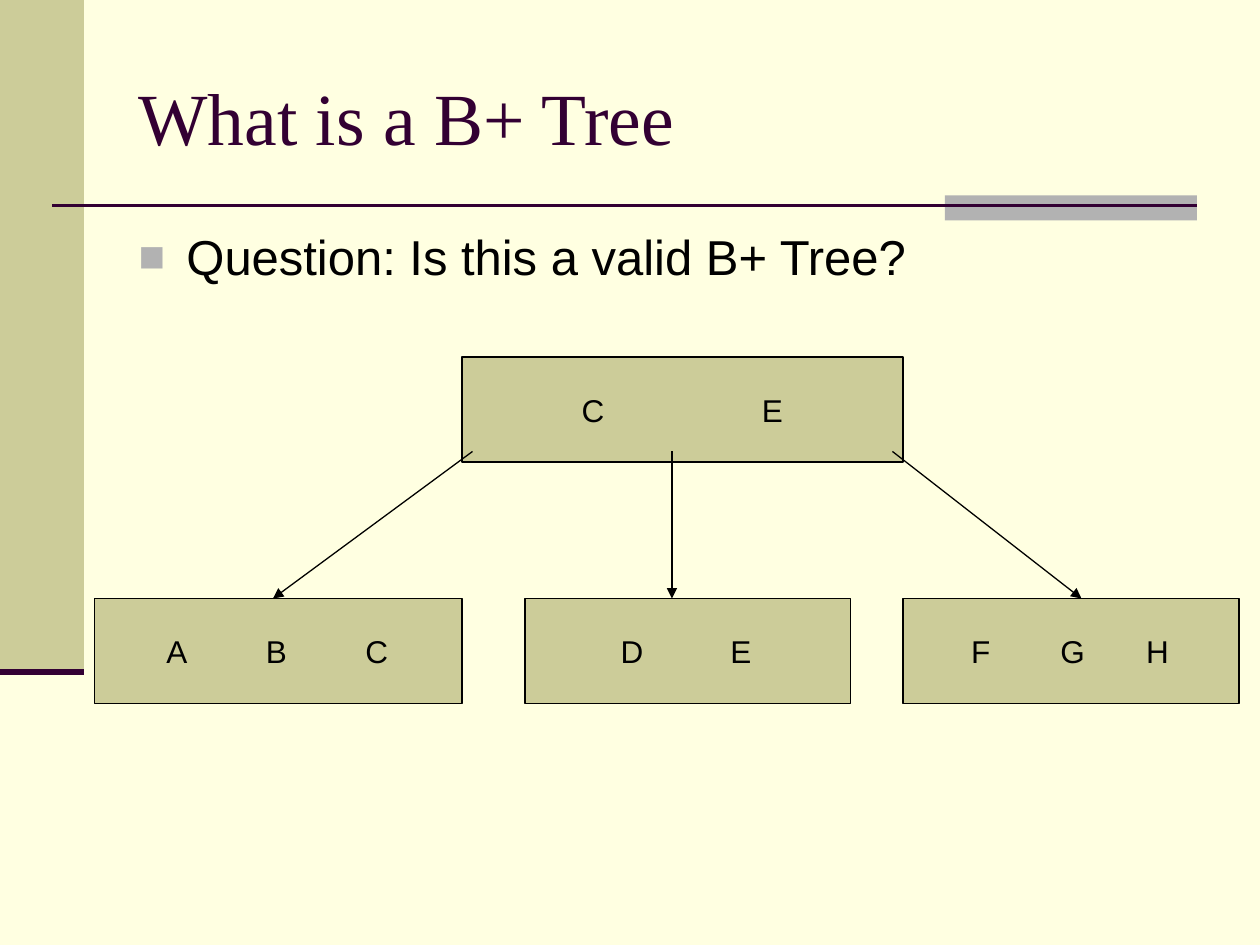
from pptx import Presentation
from pptx import util as u
from pptx.dml.color import RGBColor
from pptx.enum import shapes, text
from pptx.oxml import parse_xml
from pptx.oxml.ns import nsdecls, qn

# Content
TITLE = "What is a B+ Tree"
QUESTION = "Question: Is this a valid B+ Tree?"
# Nodes: left, top, width in grid cells; each key with its inset in inches
NODES = [
    (44, 34, 42, [("C", 0.95), ("E", 2.38)]),
    (9, 57, 35, [("A", 0.57), ("B", 1.36), ("C", 2.15)]),
    (50, 57, 31, [("D", 0.76), ("E", 1.63)]),
    (86, 57, 32, [("F", 0.54), ("G", 1.25), ("H", 1.93)]),
]
NODE_HEIGHT = 10
POINTERS = [(64, 64), (85, 103), (45, 26)]  # x in the root, x on a leaf
POINTER_TOP, LEAF_TOP = 43, 57

# Decoration: left, top, width, height, colour / from, to, colour, weight
BANDS = [(0, 0, 8, 64, "CCCC99"), (90, 18.6, 24, 2.4, "B2B2B2")]
RULES = [((5, 19.6), (114, 19.6), "330033", 1.5),
         ((0, 64), (8, 64), "330033", 3.5)]

# Formats
HEADING = {"size": u.Pt(42), "name": "Times New Roman", "bold": False}
BODY = {"size": u.Pt(28), "name": "Arial"}
KEY = {"size": u.Pt(18), "name": "Arial"}


def cells(*values):
    """Grid cells, twelve to the inch."""
    return [u.Inches(v / 12) for v in values]


def color(target, hex_value):
    target.rgb = RGBColor.from_string(hex_value)


def set_all(target, values):
    for attribute, value in values.items():
        setattr(target, attribute, value)


def write(shape, words, font, hex_value, **frame):
    set_all(shape.text_frame, {"word_wrap": True, **frame})
    paragraph = shape.text_frame.paragraphs[0]
    paragraph.alignment = text.PP_ALIGN.LEFT
    run = paragraph.add_run()
    run.text = words
    set_all(run.font, font)
    color(run.font.color, hex_value)
    return paragraph


def rectangle(left, top, width, height, fill):
    box = slide.shapes.add_shape(shapes.MSO_SHAPE.RECTANGLE,
                                 *cells(left, top, width, height))
    box.shadow.inherit = False
    box.fill.solid()
    color(box.fill.fore_color, fill)
    box.line.fill.background()
    return box


def straight(start, end, hex_value, weight):
    line = slide.shapes.add_connector(shapes.MSO_CONNECTOR.STRAIGHT,
                                      *cells(*start, *end))
    color(line.line.color, hex_value)
    line.line.width = u.Pt(weight)
    line._element.spPr.append(parse_xml(f"<a:effectLst {nsdecls('a')}/>"))
    return line


def node(left, top, width, keys):
    box = rectangle(left, top, width, NODE_HEIGHT, "CCCC99")
    color(box.line.color, "000000")
    box.line.width = u.Pt(0.75)
    first = keys[0][1]
    line = write(box, "\t".join(key for key, _ in keys), KEY, "000000",
                 margin_left=u.Inches(first), margin_right=0,
                 vertical_anchor=text.MSO_ANCHOR.MIDDLE)
    stops = "".join(f'<a:tab pos="{u.Inches(x - first)}" algn="l"/>'
                    for _, x in keys[1:])
    line._p.get_or_add_pPr().append(
        parse_xml(f"<a:tabLst {nsdecls('a')}>{stops}</a:tabLst>"))


deck = Presentation()
deck.slide_width, deck.slide_height = cells(120, 90)
slide = deck.slides.add_slide(deck.slide_layouts[1])
slide.background.fill.solid()
color(slide.background.fill.fore_color, "FFFFE1")

# Side band, accent bar and rules
for band in BANDS:
    rectangle(*band)
for rule in RULES:
    straight(*rule)

# Title and question
heading, body = slide.placeholders
for holder, (top, height) in ((heading, (3.6, 15)), (body, (21, 59.4))):
    holder.left, holder.top, holder.width, holder.height = cells(
        12, top, 102, height)
    holder.text_frame.auto_size = text.MSO_AUTO_SIZE.NONE
write(heading, TITLE, HEADING, "330033",
      vertical_anchor=text.MSO_ANCHOR.MIDDLE)
question = write(body, QUESTION, BODY, "000000")
question.space_before = u.Pt(7)
bullet = question._p.get_or_add_pPr()
bullet.set("marL", str(u.Inches(0.38)))
bullet.set("indent", str(u.Inches(-0.38)))
for tag, inner in (("buClr", '><a:srgbClr val="B2B2B2"/></a:buClr>'),
                   ("buSzPct", ' val="90000"/>'),
                   ("buFont", ' typeface="Arial"/>'),
                   ("buChar", ' char="■"/>')):
    bullet.append(parse_xml(f"<a:{tag} {nsdecls('a')}{inner}"))

# Tree nodes
for entry in NODES:
    node(*entry)

# Pointers from the root to the leaves
for start, end in POINTERS:
    arrow = straight((start, POINTER_TOP), (end, LEAF_TOP), "000000", 0.75)
    arrow.line._get_or_add_ln().append(
        parse_xml(f'<a:tailEnd {nsdecls("a")} type="triangle"/>'))

deck.save("out.pptx")
